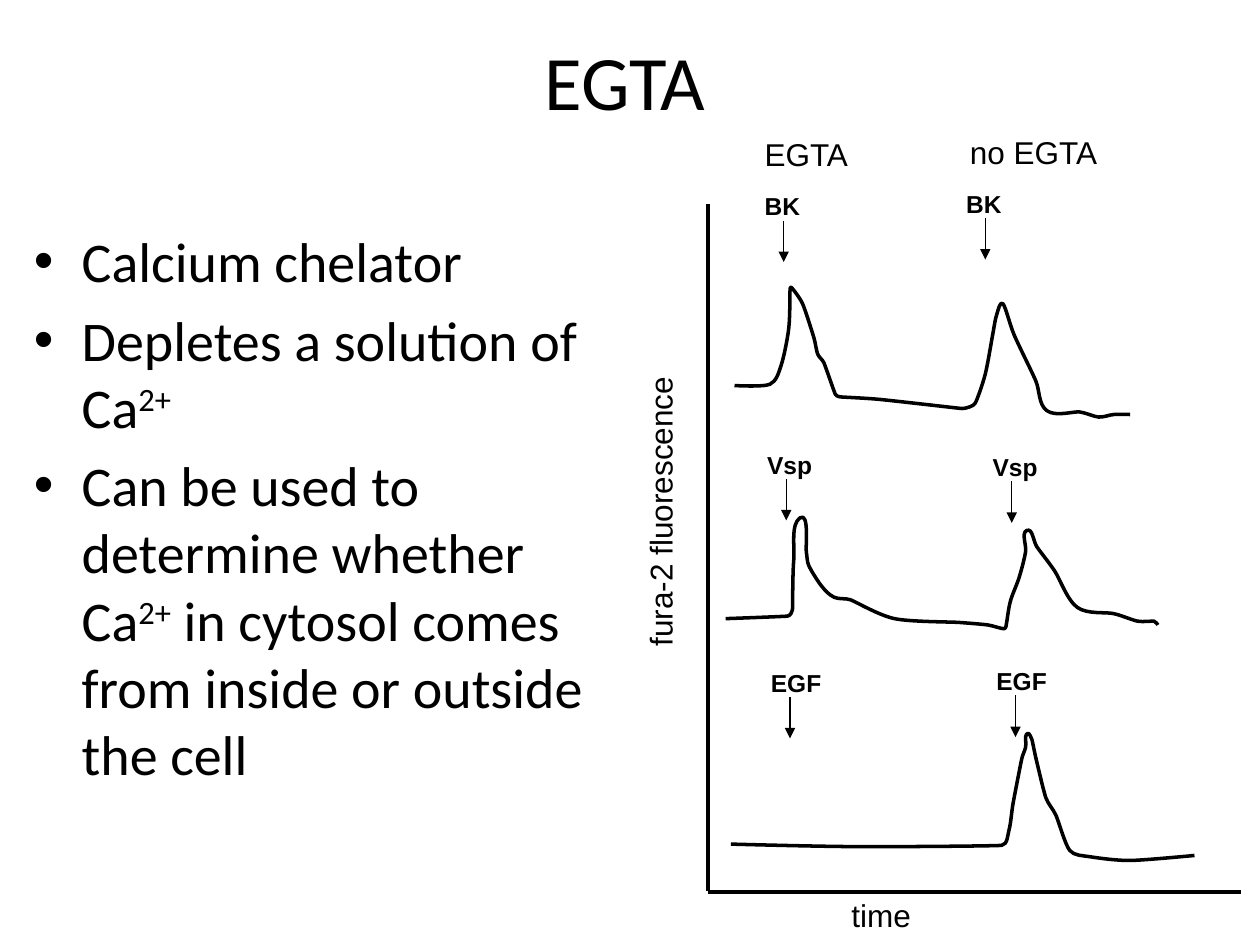
"""Build a slide on EGTA with calcium traces after three agonists."""
import collections
import math

import pptx
import pptx.dml.color
import pptx.enum.shapes
import pptx.enum.text
import pptx.oxml.ns
import pptx.oxml.xmlchemy
import pptx.util

EMU_PER_PX = 9144
BLACK = pptx.dml.color.RGBColor(0, 0, 0)
WHITE = pptx.dml.color.RGBColor(255, 255, 255)

AXIS_LEFT, AXIS_TOP, AXIS_RIGHT, AXIS_BOTTOM = 562, 162, 985, 707
LABEL_HEIGHT = 33
LABEL_TO_ARROW_X = 25
LABEL_TO_ARROW_Y = 28
ARROW_LENGTH = 33

BULLETS = [
    ["Calcium chelator"],
    ["Depletes a solution of Ca", "2+"],
    ["Can be used to determine whether Ca", "2+",
     " in cytosol comes from inside or outside the cell"],
]
HEADINGS = [("EGTA", 597, 102, 134), ("no EGTA", 760, 101, 134), ("time", 666, 706, 264)]

Recording = collections.namedtuple("Recording", "agonist baseline label_width responses")
Response = collections.namedtuple("Response", "stimulus_x label_top before rise fall after")

# Each response phase lists (time since stimulus, level above baseline).
RECORDINGS = [
    Recording("BK", 306, 56, [
        Response(622, 147,
                 before=[(-39, 0), (-11, 1)],
                 rise=[(-2, 16), (4, 45), (5, 74), (6, 78)],
                 fall=[(15, 65), (24, 38), (27, 25), (32, 18), (41, -7)],
                 after=[(45, -9), (76, -11)]),
        Response(782, 145,
                 before=[(-21, -18), (-16, -18), (-8, -14)],
                 rise=[(0, 9), (6, 41), (9, 56), (14, 65)],
                 fall=[(23, 40), (40, 4), (49, -20)],
                 after=[(75, -21), (90, -25), (102, -23), (115, -23)]),
    ]),
    Recording("Vsp", 491, 56, [
        Response(624, 352,
                 before=[(-48, 0), (1, 2)],
                 rise=[(5, 7), (6, 46), (11, 80)],
                 fall=[(16, 53), (18, 42), (28, 26), (38, 17), (51, 15)],
                 after=[(86, 0), (137, -3)]),
        Response(803, 354,
                 before=[(-19, -5), (-6, -8)],
                 rise=[(-4, -3), (-1, 14), (6, 33), (11, 53), (12, 70)],
                 fall=[(20, 57), (34, 38), (52, 9)],
                 after=[(81, 4), (100, -2), (113, -2), (116, -5)]),
    ]),
    Recording("EGF", 670, 60, [
        Response(627, 525, before=[(-47, 0)], rise=[], fall=[], after=[(53, -2)]),
        Response(806, 524,
                 before=[(-11, -1)],
                 rise=[(-5, 12), (-2, 32), (5, 68), (8, 77), (8, 85), (10, 88)],
                 fall=[(13, 83), (16, 69), (24, 37), (32, 23), (43, -5)],
                 after=[(59, -10), (91, -13), (142, -9)]),
    ]),
]


def px(length):
    """Turn a length in px into EMU."""
    return pptx.util.Emu(length * EMU_PER_PX)


def xml_element(tag, **attributes):
    """Make an XML element with the given attributes."""
    element = pptx.oxml.xmlchemy.OxmlElement(tag)
    for name, value in attributes.items():
        element.set(name, value)
    return element


def format_run(run, font_name, size, bold=False):
    """Set the font of a run in black."""
    run.font.name = font_name
    run.font.size = pptx.util.Pt(size)
    run.font.bold = bold
    run.font.color.rgb = BLACK


def format_outline(line, weight):
    """Make an outline black with the given weight."""
    line.color.rgb = BLACK
    line.width = pptx.util.Pt(weight)


def add_frame(slide, left, top, width, height):
    """Add a wrapping text box and return its text frame."""
    box = slide.shapes.add_textbox(px(left), px(top), px(width), px(height))
    box.text_frame.word_wrap = True
    return box.text_frame


def add_label(slide, text, left, top, width, height, size=18, font_name="Arial", bold=False):
    """Add a text box with one line and return its text frame."""
    frame = add_frame(slide, left, top, width, height)
    frame.text = text
    format_run(frame.paragraphs[0].runs[0], font_name, size, bold)
    return frame


def add_title(slide):
    """Add the centred slide title."""
    frame = add_label(slide, "EGTA", 46, 1, 900, 125, 44, "Calibri")
    frame.vertical_anchor = pptx.enum.text.MSO_ANCHOR.MIDDLE
    frame.paragraphs[0].alignment = pptx.enum.text.PP_ALIGN.CENTER


def add_bullets(slide):
    """Add the bullet list, with every second run raised."""
    frame = add_frame(slide, 17, 175, 483, 495)
    for index, parts in enumerate(BULLETS):
        paragraph = frame.add_paragraph() if index else frame.paragraphs[0]
        paragraph.space_before = pptx.util.Pt(6.4)
        properties = paragraph._p.get_or_add_pPr()
        properties.set("marL", str(px(38)))
        properties.set("indent", str(px(-38)))
        properties.append(xml_element("a:buFont", typeface="Arial"))
        properties.append(xml_element("a:buChar", char="•"))
        for position, text in enumerate(parts):
            run = paragraph.add_run()
            run.text = text
            format_run(run, "Calibri", 32)
            if position % 2:
                run._r.get_or_add_rPr().set("baseline", "30000")


def add_line(slide, begin_x, begin_y, end_x, end_y, weight=2, arrow=False):
    """Add a straight black line, with an arrowhead at its end if asked."""
    connector = slide.shapes.add_connector(
        pptx.enum.shapes.MSO_CONNECTOR.STRAIGHT,
        px(begin_x), px(begin_y), px(end_x), px(end_y))
    format_outline(connector.line, weight)
    if arrow:
        connector.line._get_or_add_ln().append(xml_element("a:tailEnd", type="triangle"))
    connector.element.spPr.append(xml_element("a:effectLst"))


def add_axes(slide):
    """Add both axes and the upright axis title."""
    add_line(slide, AXIS_LEFT, AXIS_TOP, AXIS_LEFT, AXIS_BOTTOM)
    add_line(slide, AXIS_LEFT, AXIS_BOTTOM + 1, AXIS_RIGHT, AXIS_BOTTOM + 1)
    axis_title = add_label(slide, "fura-2 fluorescence", 504, 238, 50, 285)
    axis_title._txBody.bodyPr.set("vert", "vert270")


def add_stimulus(slide, agonist, x, top, width):
    """Add an agonist name with an arrow below it."""
    arrow_top = top + LABEL_TO_ARROW_Y
    add_line(slide, x, arrow_top, x, arrow_top + ARROW_LENGTH, 0.75, True)
    add_label(slide, agonist, x - LABEL_TO_ARROW_X, top, width, LABEL_HEIGHT, 14, bold=True)


def trace_knots(recording):
    """Turn the phases of all responses into slide positions."""
    return [
        (response.stimulus_x + time, recording.baseline - level)
        for response in recording.responses
        for phase in (response.before, response.rise, response.fall, response.after)
        for time, level in phase
    ]


def knot_handles(before, knot, after):
    """Return the two Bézier handles of a knot, parallel to its neighbours' chord."""
    if before == knot or after == knot:
        return knot, knot
    reach = min(math.dist(before, knot), math.dist(knot, after)) / 3
    ratio = reach / math.dist(before, after)
    shift_x, shift_y = ((end - start) * ratio for start, end in zip(before, after))
    return (knot[0] - shift_x, knot[1] - shift_y), (knot[0] + shift_x, knot[1] + shift_y)


def smooth_curve(knots):
    """Return two handles and an end point for each segment between knots."""
    handles = [
        knot_handles(*neighbours)
        for neighbours in zip(knots[:1] + knots, knots, knots[1:] + knots[-1:])
    ]
    return [
        point
        for index in range(1, len(knots))
        for point in (handles[index - 1][1], handles[index][0], knots[index])
    ]


def add_trace(slide, knots):
    """Add an open smooth curve through the knots."""
    start, *points = [(px(x), px(y)) for x, y in knots[:1] + smooth_curve(knots)]
    builder = slide.shapes.build_freeform(*start)
    builder.add_line_segments(points, close=False)
    shape = builder.convert_to_shape()
    shape.shadow.inherit = False
    shape.fill.background()
    format_outline(shape.line, 2)
    path = next(shape.element.iter(pptx.oxml.ns.qn("a:path")))
    segments = path.findall(pptx.oxml.ns.qn("a:lnTo"))
    for triple in zip(*[iter(segments)] * 3):
        curve = xml_element("a:cubicBezTo")
        for segment in triple:
            curve.append(segment[0])
            path.remove(segment)
        path.append(curve)


def add_recording(slide, recording):
    """Add a trace with its stimuli."""
    add_trace(slide, trace_knots(recording))
    for response in recording.responses:
        add_stimulus(slide, recording.agonist, response.stimulus_x,
                     response.label_top, recording.label_width)


def main():
    """Build and save the presentation."""
    presentation = pptx.Presentation()
    presentation.slide_width, presentation.slide_height = px(1000), px(750)
    slide = presentation.slides.add_slide(presentation.slide_layouts[6])
    slide.background.fill.solid()
    slide.background.fill.fore_color.rgb = WHITE
    add_title(slide)
    add_bullets(slide)
    add_axes(slide)
    for recording in RECORDINGS:
        add_recording(slide, recording)
    for heading in HEADINGS:
        add_label(slide, *heading, 40)
    presentation.save("out.pptx")


if __name__ == "__main__":
    main()
